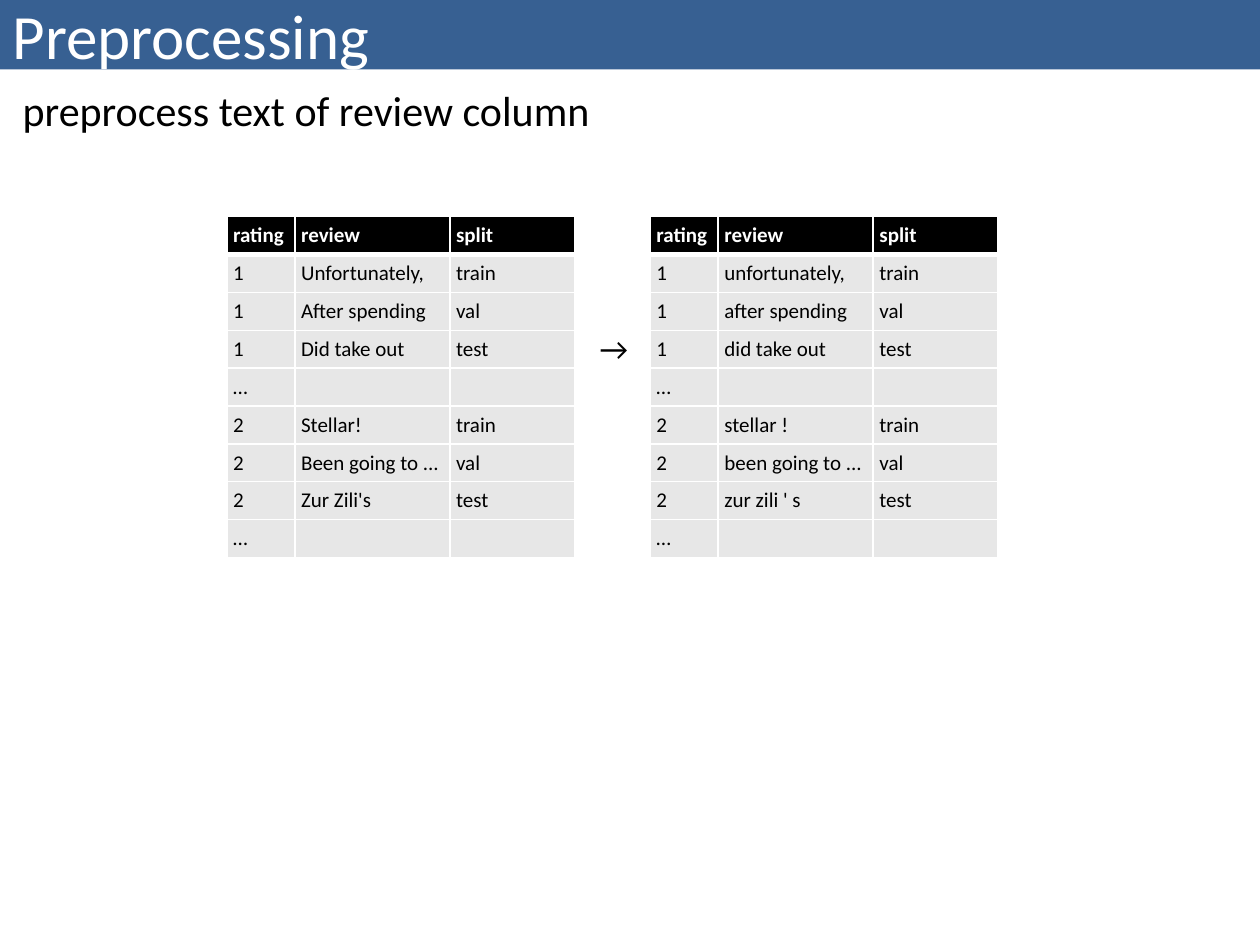
from lxml.etree import SubElement
from pptx import Presentation
from pptx.dml.color import RGBColor
from pptx.enum.text import MSO_ANCHOR as Anchor, MSO_AUTO_SIZE as AutoSize, PP_ALIGN as Align
from pptx.oxml.ns import qn
from pptx.util import Inches, Pt

FONT = "Calibri"
COLORS = {"bar": "376092", "white": "FFFFFF", "black": "000000", "row": "E7E7E7"}
TITLE = "Preprocessing"
SUBTITLE = "preprocess text of review column"
HEADER = ("rating", "review", "split")
RATINGS = ("1", "1", "1", "…", "2", "2", "2", "…")
SPLITS = ("train", "val", "test", "") * 2
REVIEWS = [
    (5.16, ("unfortunately, ", "after spending", "did take out", "",
            "stellar ! ", "been going to ...", "zur zili ' s", "")),
    (1.8, ("Unfortunately, ", "After spending", "Did take out", "",
           "Stellar! ", "Been going to ...", "Zur Zili's", "")),
]
TABLE_TOP, ROW_HEIGHT = 1.72, 0.3
COLUMN_WIDTHS = (0.54, 1.23, 0.99)


def color(name):
    return RGBColor.from_string(COLORS[name])


def place(shape, left, top, width, height):
    shape.left, shape.top = Inches(left), Inches(top)
    shape.width, shape.height = Inches(width), Inches(height)


def write(frame, text, size, ink, bold=False):
    frame.text = text
    paragraph = frame.paragraphs[0]
    paragraph.alignment = Align.LEFT
    for span in paragraph.runs:
        span.font.name, span.font.size, span.font.bold = FONT, Pt(size), bold
        span.font.color.rgb = color(ink)
    if not text:
        SubElement(paragraph._p, qn("a:endParaRPr"), sz=str(size * 100))
    return paragraph


def set_borders(cell, bottom_width):
    properties = cell._tc.get_or_add_tcPr()
    widths = {"a:lnL": 1, "a:lnR": 1, "a:lnT": 1, "a:lnB": bottom_width}
    for position, (tag, width) in enumerate(widths.items()):
        line = SubElement(properties, qn(tag), w=str(Pt(width)))
        fill = SubElement(line, qn("a:solidFill"))
        SubElement(fill, qn("a:srgbClr"), val=COLORS["white"])
        properties.insert(position, line)


def add_review_table(page, left, reviews):
    rows = [HEADER, *zip(RATINGS, reviews, SPLITS)]
    table = page.shapes.add_table(
        len(rows), len(HEADER), Inches(left), Inches(TABLE_TOP),
        Inches(sum(COLUMN_WIDTHS)), Inches(ROW_HEIGHT * len(rows))).table
    for column, width in zip(table.columns, COLUMN_WIDTHS):
        column.width = Inches(width)
    for row_index, values in enumerate(rows):
        is_header = row_index == 0
        table.rows[row_index].height = Inches(ROW_HEIGHT)
        for column_index, value in enumerate(values):
            cell = table.cell(row_index, column_index)
            cell.margin_left = cell.margin_right = Inches(0.05)
            cell.margin_top = cell.margin_bottom = Inches(0.05)
            write(cell.text_frame, value, 12, "white" if is_header else "black", is_header)
            cell.fill.solid()
            cell.fill.fore_color.rgb = color("black" if is_header else "row")
            set_borders(cell, 3 if is_header else 1)


deck = Presentation()
deck.slide_width, deck.slide_height = Inches(10), Inches(7.5)
page = deck.slides.add_slide(deck.slide_layouts[1])

title, body = page.shapes.title, page.placeholders[1]
place(title, 0, 0, 10, 0.55)
title.fill.solid()
title.fill.fore_color.rgb = color("bar")
title.text_frame.auto_size = AutoSize.NONE
title.text_frame.vertical_anchor = Anchor.MIDDLE
write(title.text_frame, TITLE, 36, "white")

place(body, 0.08, 0.62, 9.84, 0.93)
body.text_frame.auto_size = AutoSize.NONE
subtitle = write(body.text_frame, SUBTITLE, 24, "black")
subtitle_properties = subtitle._p.get_or_add_pPr()
subtitle_properties.set("marL", "0")
subtitle_properties.set("indent", "0")
SubElement(subtitle_properties, qn("a:buNone"))

arrow = page.shapes.add_textbox(Inches(4.66), Inches(2.56), Inches(0.45), Inches(0.4))
arrow.text_frame.word_wrap = False
arrow.text_frame.auto_size = AutoSize.SHAPE_TO_FIT_TEXT
write(arrow.text_frame, "→", 18, "black")

for left, reviews in REVIEWS:
    add_review_table(page, left, reviews)

deck.save("out.pptx")
